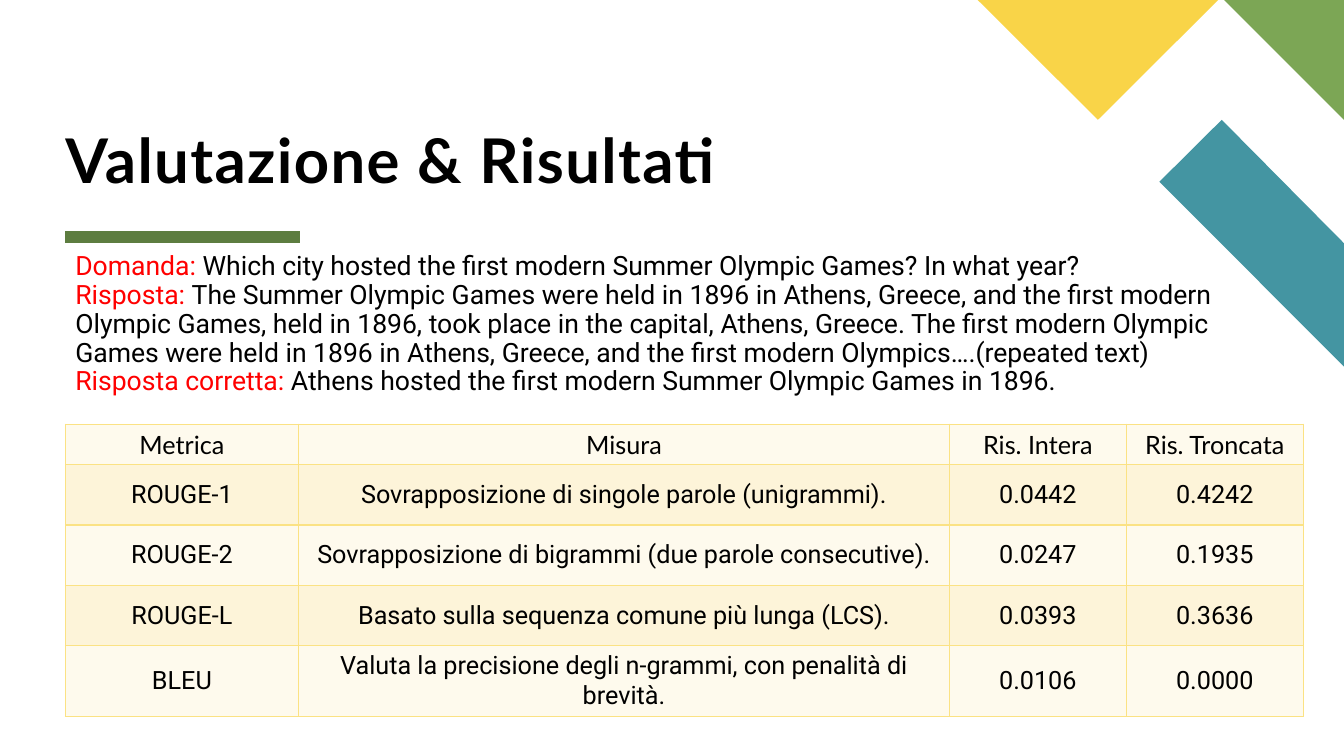
from lxml import etree
from pptx import Presentation
from pptx.dml.color import RGBColor
from pptx.enum.shapes import MSO_CONNECTOR
from pptx.enum.text import MSO_ANCHOR, PP_ALIGN
from pptx.oxml import parse_xml
from pptx.oxml.ns import nsdecls, qn
from pptx.util import Cm, Pt

COLOURS = {
    "ink": "000000", "label": "FF0000", "rule": "5D7D40",
    "teal": "4495A2", "green": "7CA655", "yellow": "F9D448",
    "border": "FBE284", "light": "FEFAED", "band": "FDF4D9",
}
SLIDE_W, SLIDE_H = 33.87, 19.05

EXCHANGE = [
    ("Domanda: ", "Which city hosted the first modern Summer Olympic Games? In what year?"),
    ("Risposta: ", "The Summer Olympic Games were held in 1896 in Athens, Greece, and the first "
     "modern Olympic Games, held in 1896, took place in the capital, Athens, Greece. The first "
     "modern Olympic Games were held in 1896 in Athens, Greece, and the first modern "
     "Olympics….(repeated text)"),
    ("Risposta corretta: ", "Athens hosted the first modern Summer Olympic Games in 1896."),
]
METRICS = [
    ("Metrica", "Misura", "Ris. Intera", "Ris. Troncata"),
    ("ROUGE-1", "Sovrapposizione di singole parole (unigrammi).", "0.0442", "0.4242"),
    ("ROUGE-2", "Sovrapposizione di bigrammi (due parole consecutive).", "0.0247", "0.1935"),
    ("ROUGE-L", "Basato sulla sequenza comune più lunga (LCS).", "0.0393", "0.3636"),
    ("BLEU", "Valuta la precisione degli n-grammi, con penalità di brevità.", "0.0106", "0.0000"),
]


def rgb(name):
    return RGBColor.from_string(COLOURS[name])


def add_text(paragraph, text, size=18, font="Roboto", colour="ink", bold=False, tracking=0):
    run = paragraph.add_run()
    run.text = text
    run.font.size = Pt(size)
    run.font.name = font
    run.font.bold = bold
    run.font.color.rgb = rgb(colour)
    if tracking:
        run.font._element.set("spc", str(tracking * 100))


def add_frame(slide, left, top, width, height):
    frame = slide.shapes.add_textbox(Cm(left), Cm(top), Cm(width), Cm(height)).text_frame
    frame.word_wrap = True
    return frame


def draw_corner(slide, right, top):
    """Diagonal pieces, as offsets from the slide's top right corner."""
    pieces = {
        "teal": [(0, 9.24), (0, 6.13), (-3.08, 3.02), (-4.65, 4.58)],
        "green": [(0, 3.02), (0, 0), (-3.02, 0)],
        "yellow": [(-9.23, 0), (-6.2, 3.02), (-3.17, 0)],
    }
    for colour, offsets in pieces.items():
        points = [(Cm(right + x), Cm(top + y)) for x, y in offsets]
        builder = slide.shapes.build_freeform(*points[0])
        builder.add_line_segments(points[1:], close=True)
        piece = builder.convert_to_shape()
        piece.shadow.inherit = False
        piece.fill.solid()
        piece.fill.fore_color.rgb = rgb(colour)
        piece.line.fill.background()


def draw_heading(slide, left, top, width, height):
    frame = add_frame(slide, left, top, width, height)
    frame.margin_left = frame.margin_right = frame.margin_top = frame.margin_bottom = 0
    frame.vertical_anchor = MSO_ANCHOR.BOTTOM
    title = frame.paragraphs[0]
    title.line_spacing = 0.8
    add_text(title, "Valutazione & Risultati", size=44, font="Lato", bold=True, tracking=1)

    # Thick rule under the title
    rule_y = Cm(top + height + 1.04)
    rule = slide.shapes.add_connector(
        MSO_CONNECTOR.STRAIGHT, Cm(left), rule_y, Cm(left + 5.92), rule_y)
    rule.line.color.rgb = rgb("rule")
    rule.line.width = Pt(8)
    etree.SubElement(rule._element.spPr, qn("a:effectLst"))


def draw_exchange(slide, left, top, width, height):
    paragraph = add_frame(slide, left, top, width, height).paragraphs[0]
    paragraph.line_spacing = 0.9
    for index, (label, sentence) in enumerate(EXCHANGE):
        if index:
            paragraph.add_line_break()
        add_text(paragraph, label, size=19, colour="label")
        add_text(paragraph, sentence, size=19)


def style_cell(cell, fill):
    properties = cell._tc.get_or_add_tcPr()
    for side in "LRTB":
        properties.append(parse_xml(
            f'<a:ln{side} {nsdecls("a")} w="12700"><a:solidFill>'
            f'<a:srgbClr val="{COLOURS["border"]}"/></a:solidFill></a:ln{side}>'))
    cell.fill.solid()
    cell.fill.fore_color.rgb = rgb(fill)
    cell.vertical_anchor = MSO_ANCHOR.MIDDLE


def draw_metrics(slide, left, top, width, height):
    column_widths = [5.87, 16.41, 4.45, 4.47]
    row_heights = [1.02, 1.52, 1.52, 1.52, 1.76]
    table = slide.shapes.add_table(
        len(METRICS), len(column_widths), Cm(left), Cm(top), Cm(width), Cm(height)).table
    table.first_row = table.horz_banding = False
    for column, column_width in zip(table.columns, column_widths):
        column.width = Cm(column_width)
    for row, (line, row_height) in enumerate(zip(METRICS, row_heights)):
        table.rows[row].height = Cm(row_height)
        for column, value in enumerate(line):
            cell = table.cell(row, column)
            style_cell(cell, "band" if row % 2 else "light")
            paragraph = cell.text_frame.paragraphs[0]
            paragraph.alignment = PP_ALIGN.CENTER
            add_text(paragraph, value, font="Roboto" if row else "Lato")


def main():
    deck = Presentation()
    deck.slide_width, deck.slide_height = Cm(SLIDE_W), Cm(SLIDE_H)
    slide = deck.slides.add_slide(deck.slide_layouts[6])
    margin = 1.65
    draw_corner(slide, SLIDE_W, 0)
    draw_heading(slide, margin, 0.56, 30.48, 4.37)
    draw_metrics(slide, margin, 10.69, 31.2, 7.34)
    draw_exchange(slide, margin, 6.25, 30.56, 3.91)
    deck.save("out.pptx")


if __name__ == "__main__":
    main()
